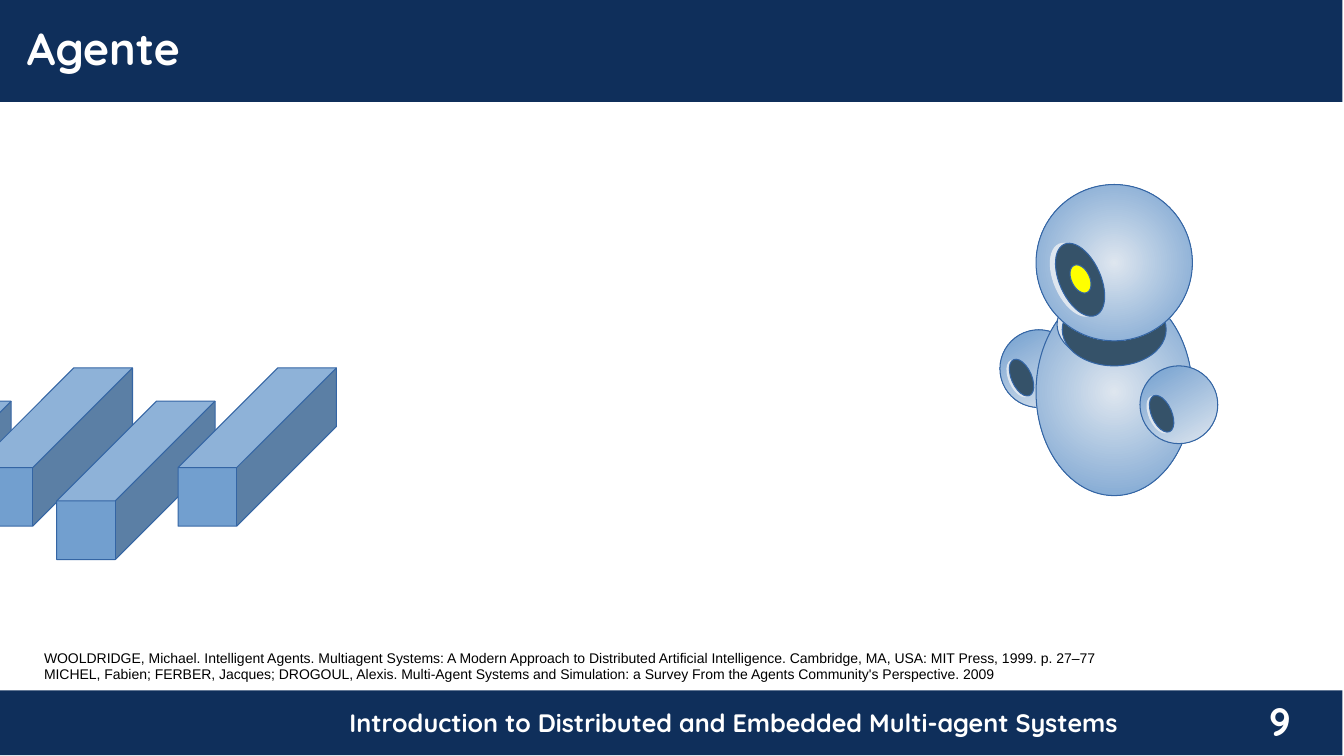
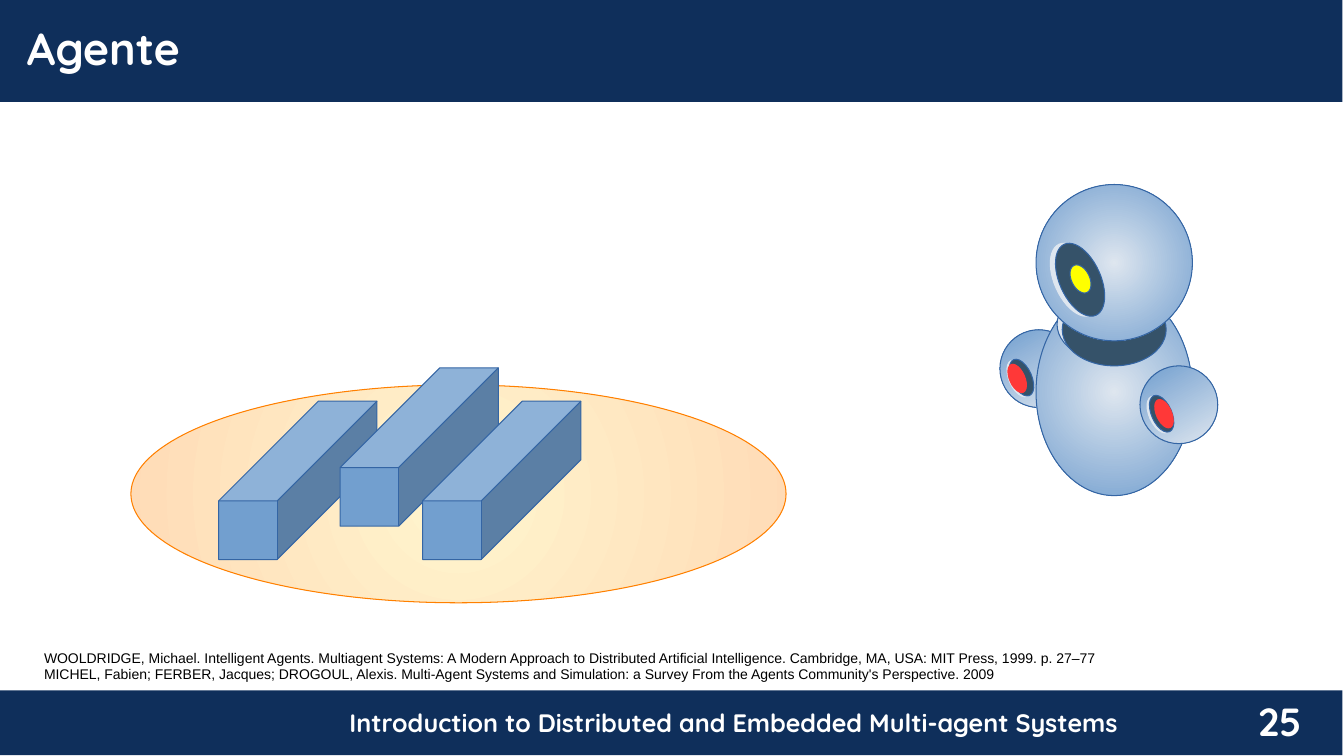
from dataclasses import dataclass

from lxml import etree
from pptx import Presentation
from pptx import util as u
from pptx.dml.color import RGBColor
from pptx.enum import shapes, text
from pptx.oxml.ns import qn


@dataclass(frozen=True)
class Theme:
    navy: str = "0F2F5B"
    white: str = "FFFFFF"
    black: str = "000000"
    blue: str = "729FCF"
    pale: str = "DEE6EF"
    slate: str = "355269"
    outline: str = "3465A4"
    yellow: str = "FFFF00"
    red: str = "FF3838"
    cream: str = "FFF5CE"
    peach: str = "FFDBB6"
    orange: str = "FF8000"
    heading_font: str = "Quicksand"
    body_font: str = "Arial"
    title_size: int = 32
    number_size: int = 28
    footer_size: int = 18
    reference_size: int = 10


THEME = Theme()
ELLIPSE = shapes.MSO_SHAPE.OVAL
TILT = 336
LINEAR_ANGLE = 300

TITLE = "Agente"
FOOTER = "Introduction to Distributed and Embedded Multi-agent Systems"
REFERENCES = [
    "WOOLDRIDGE, Michael. Intelligent Agents. Multiagent Systems: A Modern Approach to Distributed "
    "Artificial Intelligence. Cambridge, MA, USA: MIT Press, 1999. p. 27–77",
    "MICHEL, Fabien; FERBER, Jacques; DROGOUL, Alexis. Multi-Agent Systems and Simulation: "
    "a Survey From the Agents Community's Perspective. 2009",
]
SLIDES = [
    {"number": "9", "first_block": -3.71, "blocks": 4, "sensing": False},
    {"number": "25", "first_block": 5.51, "blocks": 3, "sensing": True},
]

BANDS = [(0, 17.4, 33.83, 1.63), (0, 0, 33.83, 2.57)]
BLOCK_SIZE = 3.99
BLOCK_DEPTH = 0.63
BLOCK_TOPS = (10.11, 9.27)
WIDE_STEP, NARROW_STEP = 3.06, 2.08

RADIAL = (THEME.pale, THEME.blue)
LINEAR = (THEME.blue, THEME.pale)
GROUND = ((3.3, 9.7, 16.51, 5.49), (THEME.cream, THEME.peach), THEME.orange)
SIGNALS = [(25.43, 9.14, 0.41, 0.79), (29.13, 10.03, 0.41, 0.79)]


def arm(left, top):
    return [
        ((left, top, 1.96, 1.96), LINEAR, THEME.outline, 0),
        ((left + 0.23, top + 0.73, 0.51, 0.99), THEME.pale, THEME.pale, TILT),
        ((left + 0.29, top + 0.71, 0.51, 0.99), THEME.slate, THEME.outline, TILT),
    ]


ROBOT = [
    *arm(25.2, 8.31),
    ((26.11, 7.26, 3.94, 5.23), RADIAL, THEME.outline, 0),
    ((26.64, 7.26, 2.62, 1.83), THEME.pale, THEME.outline, 0),
    ((26.77, 7.39, 2.62, 1.83), THEME.slate, THEME.outline, 0),
    ((26.11, 4.65, 3.94, 3.94), RADIAL, THEME.outline, 0),
    ((26.57, 6.07, 1.04, 1.96), THEME.pale, THEME.pale, TILT),
    ((26.7, 6.07, 1.04, 1.96), THEME.slate, THEME.outline, TILT),
    *arm(28.73, 9.22),
    ((27, 6.65, 0.46, 0.76), THEME.yellow, THEME.outline, 334.2),
]


def color(value):
    return RGBColor.from_string(value)


def box_lengths(box):
    return [u.Cm(value) for value in box]


def fill_gradient(shape, colors):
    shape.fill.gradient()
    for stop, value in zip(shape.fill.gradient_stops, colors):
        stop.color.rgb = color(value)
    if colors == LINEAR:
        shape.fill.gradient_angle = LINEAR_ANGLE
        return
    gradient = shape._element.spPr.find(qn("a:gradFill"))
    radial = etree.Element(qn("a:path"), path="circle")
    etree.SubElement(radial, qn("a:fillToRect"), l="50000", t="50000", r="50000", b="50000")
    gradient.replace(gradient.find(qn("a:lin")), radial)


def add_shape(container, kind, box, fill, line=None, rotation=0):
    shape = container.shapes.add_shape(kind, *box_lengths(box))
    shape.shadow.inherit = False
    shape.rotation = rotation
    if isinstance(fill, tuple):
        fill_gradient(shape, fill)
    else:
        shape.fill.solid()
        shape.fill.fore_color.rgb = color(fill)
    if line:
        shape.line.color.rgb = color(line)
        shape.line.width = u.Pt(0)
    else:
        shape.line.fill.background()
    return shape


def add_text(slide, box, lines, size, font=THEME.heading_font, ink=THEME.white,
             bold=True, align=text.PP_ALIGN.LEFT):
    frame = slide.shapes.add_textbox(*box_lengths(box)).text_frame
    frame.word_wrap = True
    frame.auto_size = text.MSO_AUTO_SIZE.SHAPE_TO_FIT_TEXT
    frame.text = "\n".join(lines)
    for paragraph in frame.paragraphs:
        paragraph.alignment = align
        paragraph.font.name = font
        paragraph.font.size = u.Pt(size)
        paragraph.font.bold = bold
        paragraph.font.color.rgb = color(ink)


def add_frame(slide, number):
    center = text.PP_ALIGN.CENTER
    for band in BANDS:
        add_shape(slide, shapes.MSO_SHAPE.RECTANGLE, band, THEME.navy)
    add_text(slide, (5.79, 17.7, 25.4, 1.02), [FOOTER], THEME.footer_size, align=center)
    add_text(slide, (30.86, 17.45, 2.79, 1.6), [number], THEME.number_size, align=center)
    add_text(slide, (0.43, 0.41, 33.43, 1.6), [TITLE], THEME.title_size)
    add_text(slide, (0.86, 16.23, 32.49, 1.09), REFERENCES, THEME.reference_size,
             font=THEME.body_font, ink=THEME.black, bold=False)


def add_robot(slide):
    robot = slide.shapes.add_group_shape()
    for box, fill, line, rotation in ROBOT:
        add_shape(robot, ELLIPSE, box, fill, line, rotation)


def add_blocks(slide, first_left, count):
    for index in range(count):
        left = first_left + (index + 1) // 2 * WIDE_STEP + index // 2 * NARROW_STEP
        box = (left, BLOCK_TOPS[index % 2], BLOCK_SIZE, BLOCK_SIZE)
        block = add_shape(slide, shapes.MSO_SHAPE.CUBE, box, THEME.blue, THEME.outline)
        block.adjustments[0] = BLOCK_DEPTH


def main():
    presentation = Presentation()
    presentation.slide_width = u.Cm(33.87)
    presentation.slide_height = u.Cm(19.05)
    for content in SLIDES:
        slide = presentation.slides.add_slide(presentation.slide_layouts[6])
        add_frame(slide, content["number"])
        add_robot(slide)
        if content["sensing"]:
            add_shape(slide, ELLIPSE, *GROUND)
        add_blocks(slide, content["first_block"], content["blocks"])
        if content["sensing"]:
            for signal in SIGNALS:
                add_shape(slide, ELLIPSE, signal, THEME.red, rotation=TILT)
    presentation.save("out.pptx")


if __name__ == "__main__":
    main()
